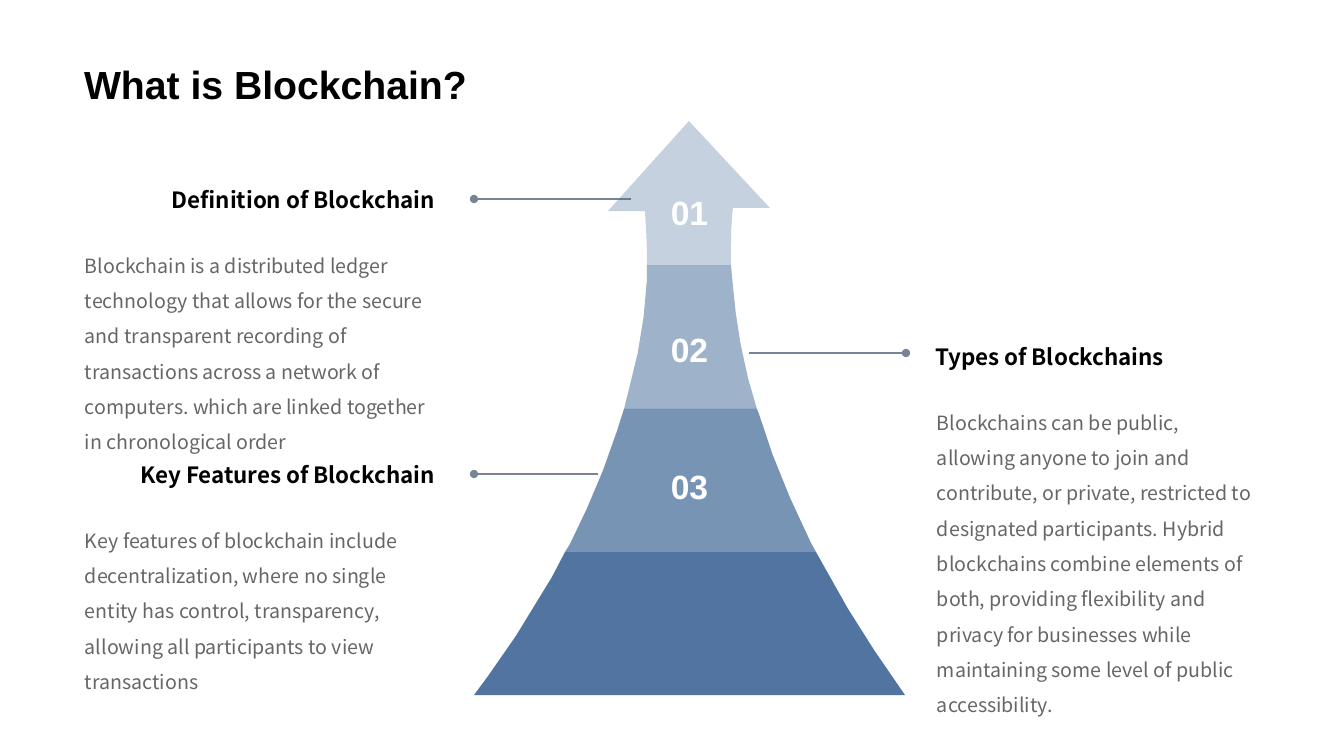
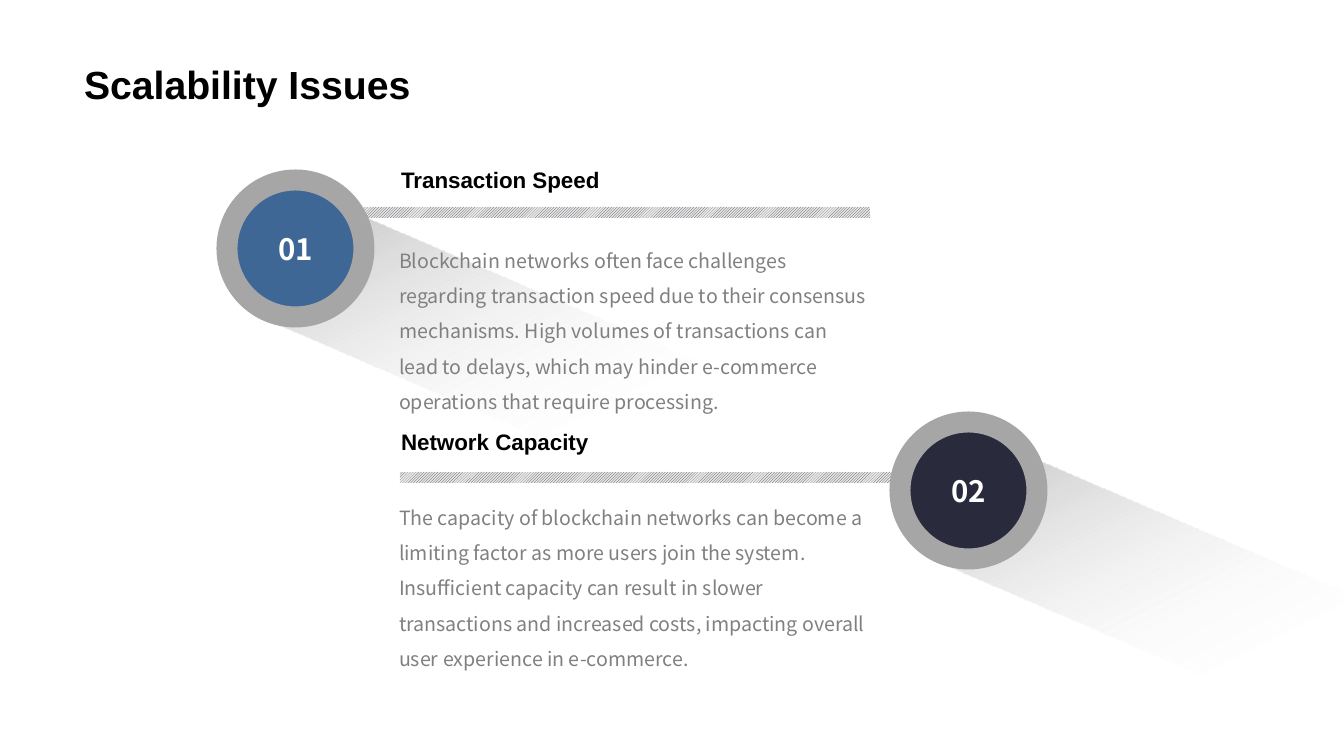
import lxml.etree
import pptx
import pptx.dml.color
import pptx.enum.dml
import pptx.enum.shapes
import pptx.enum.text
import pptx.oxml.ns
import pptx.util

PX = 12192000 / 1344
ARIAL, NOTO = "Arial", "Noto Sans CJK SC"
BLACK, WHITE, BLUE, NAVY = "000000", "FFFFFF", "3F6796", "292B3D"
BODY, GREY = "666666", "808080"
LEFT, CENTER, RIGHT = (pptx.enum.text.PP_ALIGN.LEFT, pptx.enum.text.PP_ALIGN.CENTER,
                       pptx.enum.text.PP_ALIGN.RIGHT)
TOP, MIDDLE, BOTTOM = (pptx.enum.text.MSO_ANCHOR.TOP, pptx.enum.text.MSO_ANCHOR.MIDDLE,
                       pptx.enum.text.MSO_ANCHOR.BOTTOM)
RECT, OVAL = pptx.enum.shapes.MSO_SHAPE.RECTANGLE, pptx.enum.shapes.MSO_SHAPE.OVAL
STRAIGHT = pptx.enum.shapes.MSO_CONNECTOR.STRAIGHT
rgb = pptx.dml.color.RGBColor.from_string
qn = pptx.oxml.ns.qn


def emu(*px):
    return [round(v * PX) for v in px]


def write(sp, text, size, font, color, bold=True, align=LEFT, anchor=TOP,
          inset=(10, 10), spacing=1.0):
    tf = sp.text_frame
    tf.word_wrap = True
    tf.vertical_anchor = anchor
    tf.margin_left = tf.margin_right = emu(inset[0])[0]
    tf.margin_top = tf.margin_bottom = emu(inset[1])[0]
    p = tf.paragraphs[0]
    p.alignment = align
    p.line_spacing = spacing
    r = p.add_run()
    r.text = text
    r.font.size = pptx.util.Pt(size)
    r.font.name = font
    r.font.bold = bold
    r.font.color.rgb = rgb(color)


prs = pptx.Presentation()
prs.slide_width, prs.slide_height = emu(1344, 756)

# Titles
slides = []
for title in ("What is Blockchain?", "Scalability Issues"):
    s = prs.slides.add_slide(prs.slide_layouts[6])
    write(s.shapes.add_textbox(*emu(74, 0, 1196, 113)), title, 28, ARIAL, BLACK,
          anchor=BOTTOM, inset=(10, 5), spacing=0.9)
    slides.append(s)

# Slide 1: heading, text and leader line (from x, to x, y) per block
s = slides[0]
blocks = [
    (73, 176, 372, 234, RIGHT, (631, 474, 199), "Definition of Blockchain",
     "Blockchain is a distributed ledger technology that allows for the secure and "
     "transparent recording of transactions across a network of computers. which are "
     "linked together in chronological order"),
    (925, 333, 345, 303, LEFT, (749, 906, 353), "Types of Blockchains",
     "Blockchains can be public, allowing anyone to join and contribute, or private, "
     "restricted to designated participants. Hybrid blockchains combine elements of "
     "both, providing flexibility and privacy for businesses while maintaining some "
     "level of public accessibility."),
    (73, 451, 372, 198, RIGHT, (598, 474, 474), "Key Features of Blockchain",
     "Key features of blockchain include decentralization, where no single entity has "
     "control, transparency, allowing all participants to view transactions"),
]
for x, y, w, h, align, (x1, x2, line_y), heading, body in blocks:
    write(s.shapes.add_textbox(*emu(x, y, w, 47)), heading, 16, NOTO, BLACK, align=align)
    write(s.shapes.add_textbox(*emu(x, y + 54, w, h)), body, 14, NOTO, BODY,
          bold=False, inset=(12, 12), spacing=1.5)
    cx = s.shapes.add_connector(STRAIGHT, *emu(x1, line_y, x2, line_y))
    cx.line.color.rgb = rgb("778495")
    cx.line.width = pptx.util.Pt(1.5)
    spPr = cx._element.spPr
    lxml.etree.SubElement(spPr.find(qn("a:ln")), qn("a:tailEnd"), type="oval")
    lxml.etree.SubElement(spPr, qn("a:effectLst"))

# Slide 1: arrow tiers, top to bottom; two numbers are a corner, six a Bézier curve
tiers = [
    [(689, 121), (770, 208), (733, 208), (733, 208, 730, 228, 731, 263), (731, 265),
     (647, 265), (647, 257), (647, 242, 646, 227, 645, 211), (608, 211)],
    [(647, 265), (731, 265), (733, 286), (735, 311, 739, 342, 748, 378), (757, 409),
     (624, 409), (629, 389), (639, 354, 645, 317, 647, 279)],
    [(624, 409), (757, 409), (759, 414), (771, 454, 788, 496, 811, 543), (816, 552),
     (565, 552), (570, 544), (587, 510, 604, 472, 617, 431)],
    [(565, 552), (816, 552), (825, 568), (846, 608, 873, 650, 905, 695), (474, 695),
     (479, 688, 514, 644, 552, 577)],
]
STEPS = 3
for i, outline in enumerate(tiers):
    pts = []
    for seg in outline:
        if len(seg) == 2:
            pts.append(seg)
            continue
        x0, y0 = pts[-1]
        x1, y1, x2, y2, x3, y3 = seg
        for k in range(1, STEPS + 1):
            t = k / STEPS
            a, b, c, d = (1 - t) ** 3, 3 * t * (1 - t) ** 2, 3 * t * t * (1 - t), t ** 3
            pts.append((a * x0 + b * x1 + c * x2 + d * x3,
                        a * y0 + b * y1 + c * y2 + d * y3))
    fb = s.shapes.build_freeform(*emu(*pts[0]))
    fb.add_line_segments([emu(*pt) for pt in pts[1:]], close=True)
    sp = fb.convert_to_shape()
    sp.shadow.inherit = False
    sp.line.fill.background()
    sp.fill.solid()
    sp.fill.fore_color.rgb = rgb(BLUE)
    clr = sp._element.spPr.find(qn("a:solidFill"))[0]
    lxml.etree.SubElement(clr, qn("a:alpha"), val=str(30000 + 20000 * i))

# Slide 1: tier numbers
for i in range(3):
    write(s.shapes.add_textbox(*emu(659, 182 + 137 * i, 61, 60)), f"{i + 1:02}", 24,
          ARIAL, WHITE, align=CENTER, anchor=BOTTOM)

# Slide 2: beam, bar, numbered circle, heading and text per issue
s = slides[1]
issues = [
    ("01", BLUE, (275, 334), (352, 207), (227, 180), 164, (233, 182),
     "Transaction Speed",
     "Blockchain networks often face challenges regarding transaction speed due to "
     "their consensus mechanisms. High volumes of transactions can lead to delays, "
     "which may hinder e-commerce operations that require processing."),
    ("02", NAVY, (936, 572), (400, 472), (900, 422), 426, (490, 167),
     "Network Capacity",
     "The capacity of blockchain networks can become a limiting factor as more users "
     "join the system. Insufficient capacity can result in slower transactions and "
     "increased costs, impacting overall user experience in e-commerce."),
]
for number, color, beam, bar, circle, head_y, (body_y, body_h), heading, body in issues:
    sp = s.shapes.add_shape(RECT, *emu(*beam, 695, 133))
    sp.rotation = 23.3
    sp.shadow.inherit = False
    sp.line.fill.background()
    sp.fill.gradient()
    sp.fill.gradient_angle = 320
    for stop, pos, tint in zip(sp.fill.gradient_stops, (0, 0.54), ("BFBFBF", WHITE)):
        stop.position = pos
        stop.color.rgb = rgb(tint)
    clr = list(sp._element.spPr.iter(qn("a:srgbClr")))[-1]
    lxml.etree.SubElement(clr, qn("a:alpha"), val="0")

    sp = s.shapes.add_shape(RECT, *emu(*bar, 518, 11))
    sp.shadow.inherit = False
    sp.line.fill.background()
    sp.fill.patterned()
    sp.fill.pattern = pptx.enum.dml.MSO_PATTERN.LIGHT_UPWARD_DIAGONAL
    sp.fill.fore_color.rgb = rgb("414455")
    sp.fill.back_color.rgb = rgb("E8E8E6")

    sp = s.shapes.add_shape(OVAL, *emu(*circle, 137, 137))
    sp.shadow.inherit = False
    sp.fill.solid()
    sp.fill.fore_color.rgb = rgb(color)
    sp.line.color.rgb = rgb("A6A6A6")
    sp.line.width = pptx.util.Pt(15)
    write(sp, number, 21, NOTO, WHITE, align=CENTER, anchor=MIDDLE, inset=(7, 4))

    write(s.shapes.add_textbox(*emu(391, head_y, 488, 34)), heading, 16, ARIAL, BLACK,
          anchor=BOTTOM, inset=(10, 5), spacing=0.9)
    write(s.shapes.add_textbox(*emu(391, body_y, 488, body_h)), body, 14, NOTO, GREY,
          bold=False, inset=(8, 4), spacing=1.5)

prs.save("out.pptx")
